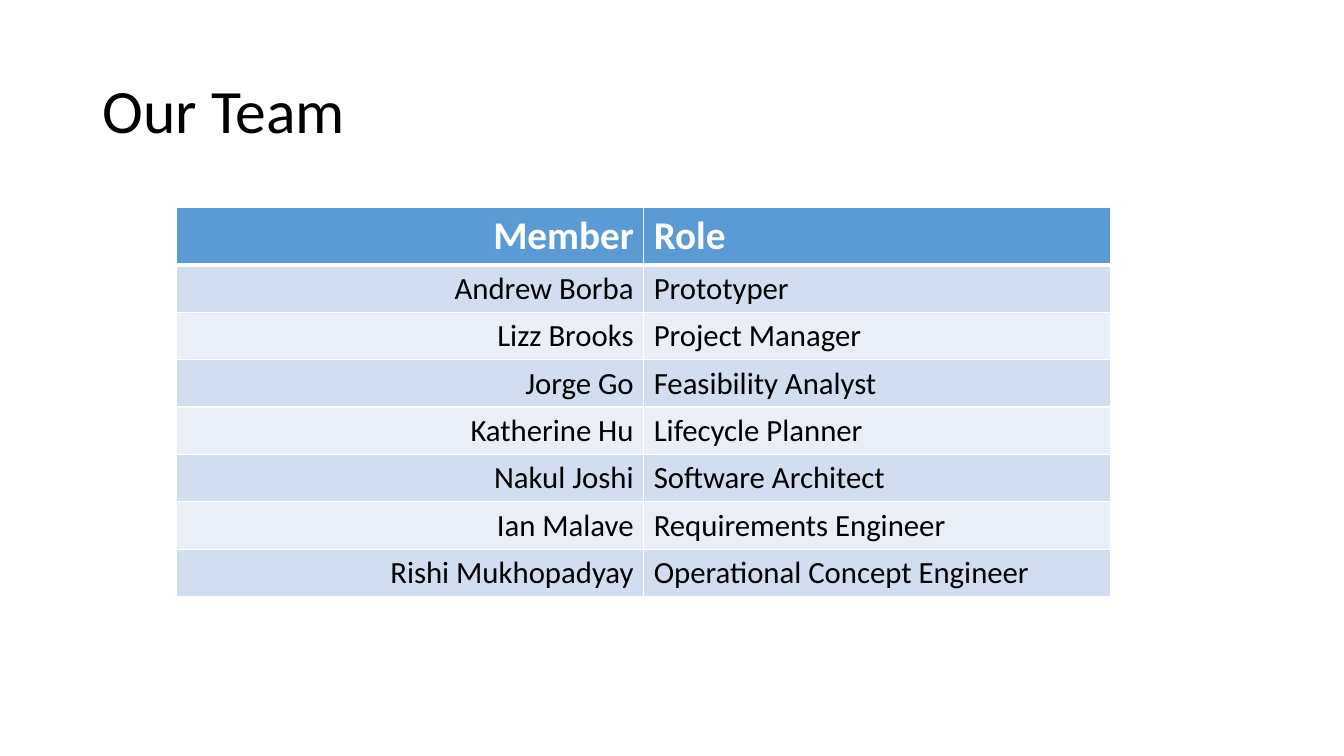
"""Build the team slide: a title above a table of members and roles."""
from dataclasses import dataclass

from lxml.etree import SubElement
from pptx import Presentation
from pptx.dml.color import RGBColor
from pptx.enum.text import MSO_ANCHOR, PP_ALIGN
from pptx.oxml.ns import qn
from pptx.slide import Slide
from pptx.table import _Cell as Cell
from pptx.text.text import _Paragraph as Paragraph
from pptx.util import Inches, Pt

FONT = "Calibri"
BLACK = RGBColor(0x00, 0x00, 0x00)
WHITE = RGBColor(0xFF, 0xFF, 0xFF)
BLUE = RGBColor(0x5B, 0x9B, 0xD5)
BANDS = (RGBColor(0xEA, 0xEF, 0xF7), RGBColor(0xD2, 0xDE, 0xEF))
ALIGNS = (PP_ALIGN.RIGHT, PP_ALIGN.LEFT)


@dataclass(frozen=True)
class Member:
    name: str
    role: str


@dataclass(frozen=True)
class RowStyle:
    fill: RGBColor
    color: RGBColor
    size: int
    bold: bool
    top: int = 1
    bottom: int = 1


HEADER = Member("Member", "Role")
TEAM = (
    Member("Andrew Borba", "Prototyper"),
    Member("Lizz Brooks", "Project Manager"),
    Member("Jorge Go", "Feasibility Analyst"),
    Member("Katherine Hu", "Lifecycle Planner"),
    Member("Nakul Joshi", "Software Architect"),
    Member("Ian Malave", "Requirements Engineer"),
    Member("Rishi Mukhopadyay", "Operational Concept Engineer"),
)


def set_font(p: Paragraph, size: int, color: RGBColor, bold: bool = False) -> None:
    p.font.name = FONT
    p.font.size = Pt(size)
    p.font.bold = bold
    p.font.color.rgb = color


def set_borders(cell: Cell, top: int, bottom: int) -> None:
    tc_pr = cell._tc.get_or_add_tcPr()
    for side, width in (("L", 1), ("R", 1), ("T", top), ("B", bottom)):
        ln = SubElement(tc_pr, qn(f"a:ln{side}"), w=str(Pt(width)))
        fill = SubElement(ln, qn("a:solidFill"))
        SubElement(fill, qn("a:srgbClr"), val=str(WHITE))


def row_style(i: int) -> RowStyle:
    if i == 0:
        return RowStyle(BLUE, WHITE, 28, True, bottom=3)
    return RowStyle(BANDS[i % 2], BLACK, 22, False, top=3 if i == 1 else 1)


def add_title(s: Slide, text: str) -> None:
    tf = s.shapes.add_textbox(Inches(0.92), Inches(0.4), Inches(11.5), Inches(1.45)).text_frame
    tf.word_wrap = True
    tf.vertical_anchor = MSO_ANCHOR.MIDDLE
    p = tf.paragraphs[0]
    p.text = text
    p.line_spacing = 0.9
    set_font(p, 44, BLACK)


def add_team_table(s: Slide, members: tuple[Member, ...]) -> None:
    rows = (HEADER, *members)
    table = s.shapes.add_table(
        len(rows), 2, Inches(1.75), Inches(2.06), Inches(9.27), Inches(3.83)
    ).table
    for i, member in enumerate(rows):
        style = row_style(i)
        table.rows[i].height = Inches(0.57 if i == 0 else 0.47)
        for cell, text, align in zip(table.rows[i].cells, (member.name, member.role), ALIGNS):
            set_borders(cell, style.top, style.bottom)
            cell.fill.solid()
            cell.fill.fore_color.rgb = style.fill
            p = cell.text_frame.paragraphs[0]
            p.text = text
            p.alignment = align
            set_font(p, style.size, style.color, style.bold)


def main() -> None:
    prs = Presentation()
    prs.slide_width, prs.slide_height = Inches(13.33), Inches(7.5)
    s = prs.slides.add_slide(prs.slide_layouts[6])
    add_title(s, "Our Team")
    add_team_table(s, TEAM)
    prs.save("out.pptx")


if __name__ == "__main__":
    main()
